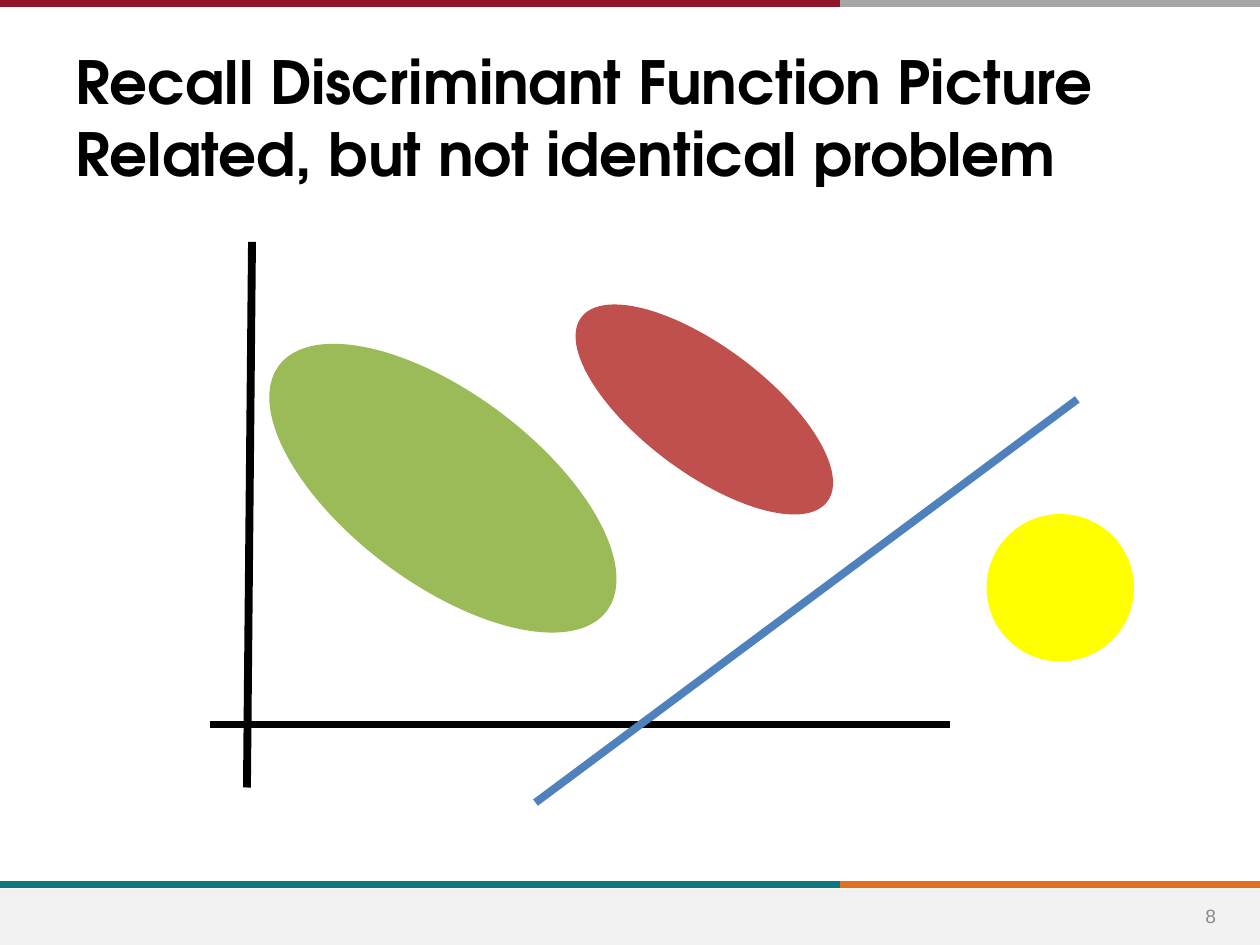
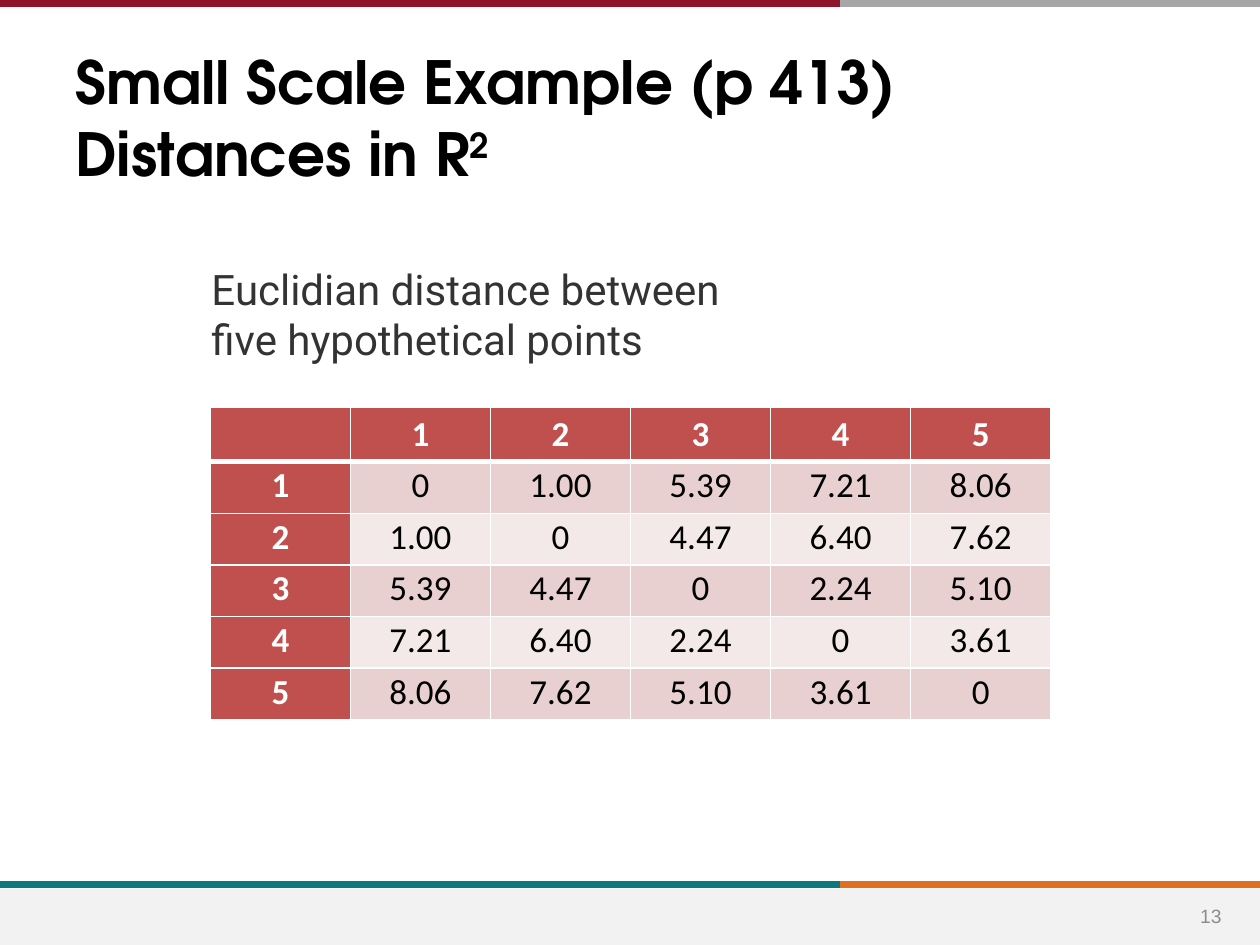
from lxml import etree
from pptx import Presentation
from pptx.dml.color import RGBColor
from pptx.enum import shapes, text
from pptx.oxml.ns import qn
from pptx.util import Inches, Pt

# Shared look
BLACK, WHITE, RED, GREEN = "000000", "FFFFFF", "C0504D", "9BBB59"
TITLE_FONT = "TeX Gyre Adventor"
WIDTH, HEIGHT, SPLIT = 10, 7.5, 6.67
BANDS = [  # y, left colour, right colour
    (7.02, "0F787D", "DF7023"),
    (0.03, "90152A", "A6A6A6"),
]

# Discriminant function slide
PICTURE_TITLE = ["Recall Discriminant Function Picture",
                 "Related, but not identical problem"]
AXES = [(2, 1.92, 1.96, 6.25), (7.54, 5.75, 1.67, 5.75)]
CLUSTERS = [  # left, top, width, height, rotation, colour
    (1.89, 3.12, 3.25, 1.51, 36.8, GREEN),
    (4.37, 2.75, 2.44, 1, 36.8, RED),
    (7.83, 4.08, 1.17, 1.17, 0, "FFFF00"),
]
SEPARATOR = (8.55, 3.17, 4.25, 6.37)

# Distance table slide
DISTANCE_TITLE = ["Small Scale Example (p 413)", "Distances in R"]
CAPTION = "Euclidian distance between five hypothetical points"
DISTANCES = [
    ["", "1", "2", "3", "4", "5"],
    ["1", "0", "1.00", "5.39", "7.21", "8.06"],
    ["2", "1.00", "0", "4.47", "6.40", "7.62"],
    ["3", "5.39", "4.47", "0", "2.24", "5.10"],
    ["4", "7.21", "6.40", "2.24", "0", "3.61"],
    ["5", "8.06", "7.62", "5.10", "3.61", "0"],
]
ROW_FILLS = ["F4E9E9", "E8D0D0"]  # even rows, odd rows
TABLE_WIDTH, ROW_HEIGHT, BODY_MARGIN = 6.67, 0.41, 0.02


def color(value):
    return RGBColor.from_string(value)


def add_line(page, ends, line_color, width):
    line = page.shapes.add_connector(
        shapes.MSO_CONNECTOR.STRAIGHT, *(Inches(v) for v in ends))
    line.line.color.rgb = color(line_color)
    line.line.width = Pt(width)
    etree.SubElement(line._element.spPr, qn("a:effectLst"))


def add_figure(page, kind, place, fill, rotation=0):
    figure = page.shapes.add_shape(kind, *(Inches(v) for v in place))
    figure.shadow.inherit = False
    figure.fill.solid()
    figure.fill.fore_color.rgb = color(fill)
    figure.line.fill.background()
    figure.rotation = rotation


def add_span(para, words, font, size, font_color, bold=False):
    span = para.add_run()
    span.text = words
    span.font.name = font
    span.font.size = Pt(size)
    span.font.bold = bold
    span.font.color.rgb = color(font_color)
    return span


def add_box(page, place, anchor=text.MSO_ANCHOR.TOP):
    box = page.shapes.add_textbox(*(Inches(v) for v in place))
    box.text_frame.word_wrap = True
    box.text_frame.vertical_anchor = anchor
    return box.text_frame.paragraphs[0]


def add_page(deck, title_lines, number):
    """Add a page with bands, footer, title and number; return it and the title."""
    page = deck.slides.add_slide(deck.slide_layouts[6])
    footer_band, top_band = BANDS
    for y, left_color, right_color in (footer_band, top_band):
        add_line(page, (SPLIT, y, WIDTH, y), right_color, 4)
        add_line(page, (0, y, SPLIT, y), left_color, 4)
    add_figure(page, shapes.MSO_SHAPE.RECTANGLE, (0, 7.05, WIDTH, 0.45), "F2F2F2")

    title = add_box(page, (0.5, 0.3, 9, 1.25), text.MSO_ANCHOR.MIDDLE)
    for index, words in enumerate(title_lines):
        if index:
            title.add_line_break()
        add_span(title, words, TITLE_FONT, 34, BLACK, True)

    para = add_box(page, (9.35, 7.07, 0.52, 0.4), text.MSO_ANCHOR.MIDDLE)
    para.alignment = text.PP_ALIGN.CENTER
    add_span(para, number, "Arial", 11, "8C8C8C")
    return page, title


def set_borders(cell, widths):
    properties = cell._tc.get_or_add_tcPr()
    for side, width in widths.items():
        border = etree.SubElement(properties, qn(f"a:ln{side}"), w=str(Pt(width)))
        fill = etree.SubElement(border, qn("a:solidFill"))
        etree.SubElement(fill, qn("a:srgbClr"), val=WHITE)


def fill_cell(cell, words, row, column):
    heading = row == 0 or column == 0
    set_borders(cell, {"L": 1, "R": 1, "T": 3 if row == 1 else 1,
                       "B": 3 if row == 0 else 1})
    cell.fill.solid()
    cell.fill.fore_color.rgb = color(RED if heading else ROW_FILLS[row % 2])
    if row:
        cell.margin_left = cell.margin_right = Inches(BODY_MARGIN)
        cell.margin_top = cell.margin_bottom = Inches(BODY_MARGIN)
    para = cell.text_frame.paragraphs[0]
    para.alignment = text.PP_ALIGN.CENTER
    if words:
        add_span(para, words, "Calibri", 20, WHITE if heading else BLACK, heading)


def build_picture_page(deck):
    page, _ = add_page(deck, PICTURE_TITLE, "8")
    for ends in AXES:
        add_line(page, ends, BLACK, 4.5)
    for *place, rotation, fill in CLUSTERS:
        add_figure(page, shapes.MSO_SHAPE.OVAL, place, fill, rotation)
    add_line(page, SEPARATOR, "4F81BD", 4.5)


def build_distance_page(deck):
    page, title = add_page(deck, DISTANCE_TITLE, "13")
    exponent = add_span(title, "2", TITLE_FONT, 34, BLACK, True)
    exponent._r.get_or_add_rPr().set("baseline", "30000")

    # Distance matrix
    count = len(DISTANCES)
    table = page.shapes.add_table(
        count, count, Inches(1.67), Inches(3.23),
        Inches(TABLE_WIDTH), Inches(ROW_HEIGHT * count)).table
    for row, values in enumerate(DISTANCES):
        for column, words in enumerate(values):
            fill_cell(table.cell(row, column), words, row, column)

    caption = add_box(page, (1.58, 2.04, 4.75, 0.91))
    add_span(caption, CAPTION, "Roboto", 24, "333333")


def main():
    deck = Presentation()
    deck.slide_width, deck.slide_height = Inches(WIDTH), Inches(HEIGHT)
    build_picture_page(deck)
    build_distance_page(deck)
    deck.save("out.pptx")


if __name__ == "__main__":
    main()
